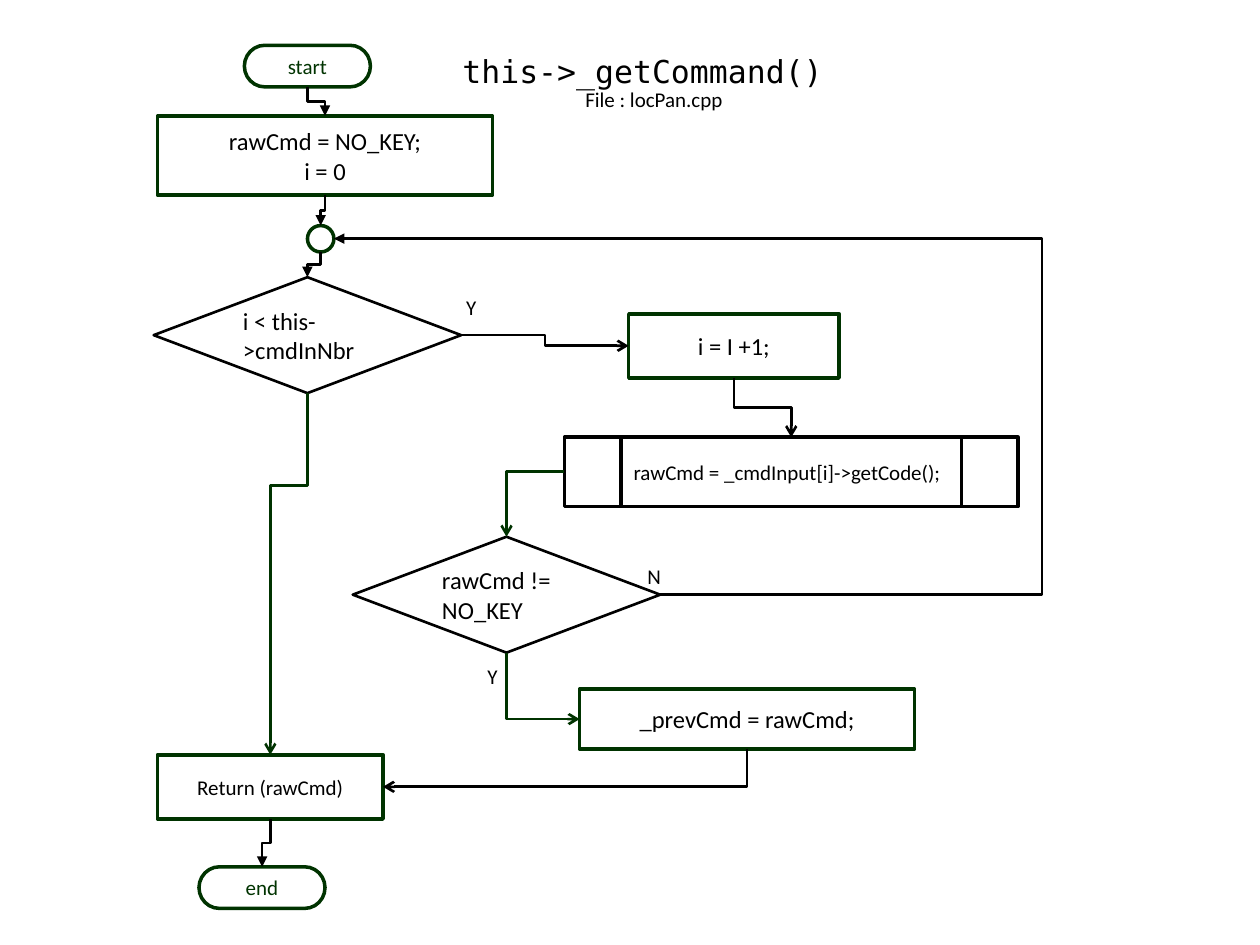
from dataclasses import dataclass

import pptx
import pptx.dml.color
import pptx.enum.shapes
import pptx.enum.text
import pptx.oxml
import pptx.oxml.ns
import pptx.util

COLS, ROWS = 100, 75
KIND = pptx.enum.shapes.MSO_SHAPE
ALIGN = pptx.enum.text.PP_ALIGN
ANCHOR = pptx.enum.text.MSO_ANCHOR
TOP, LEFT, BOTTOM, RIGHT = range(4)


@dataclass(frozen=True)
class Theme:
    black: str = "000000"
    green: str = "003300"
    font: str = "Calibri"
    mono: str = "DejaVu Sans Mono"
    title: int = 18
    body: int = 14
    small: int = 12
    thin: float = 1.5
    thick: float = 2


T = Theme()


@dataclass(frozen=True)
class Box:
    """Place on the grid, in columns and rows."""
    col: float
    row: float
    cols: float
    rows: float


@dataclass(frozen=True)
class Node:
    kind: KIND
    box: Box
    text: str = ""
    size: int = T.body
    line: str = T.green
    width: float = T.thick
    ink: str = T.black
    align: ALIGN = ALIGN.CENTER


@dataclass(frozen=True)
class Label:
    box: Box
    text: str
    size: int = T.small
    font: str = T.font
    align: ALIGN = ALIGN.LEFT
    wrap: bool = False
    anchor: ANCHOR = ANCHOR.TOP


@dataclass(frozen=True)
class Link:
    """Elbow arrow; bend is the share of the run before the turn, None for one corner."""
    start: str
    start_side: int
    end: str
    end_side: int
    head: str = "triangle"
    color: str = T.black
    bend: float | None = 0.5


def decision(col: float, row: float, text: str) -> Node:
    return Node(KIND.FLOWCHART_DECISION, Box(col, row, 24.4, 9.2), text,
                line=T.black, width=T.thin, align=ALIGN.LEFT)


def terminator(col: float, row: float, text: str) -> Node:
    return Node(KIND.FLOWCHART_TERMINATOR, Box(col, row, 10, 3.3), text, T.small, ink=T.green)


NODES = {
    "start": terminator(19.4, 3.6, "start"),
    "init": Node(KIND.RECTANGLE, Box(12.5, 9.2, 26.6, 6.3), "rawCmd = NO_KEY;\ni = 0"),
    "join": Node(KIND.OVAL, Box(24.4, 17.9, 2.1, 2.1)),
    "more": decision(12.2, 22, "i < this->cmdInNbr"),
    "step": Node(KIND.RECTANGLE, Box(49.9, 24.9, 16.7, 5.1), "i = I +1;"),
    "read": Node(KIND.FLOWCHART_PREDEFINED_PROCESS, Box(44.8, 34.7, 36, 5.5),
                 "rawCmd = _cmdInput[i]->getCode();", T.small, T.black, align=ALIGN.LEFT),
    "found": decision(28, 42.6, "rawCmd != NO_KEY"),
    "keep": Node(KIND.RECTANGLE, Box(46, 54.7, 26.6, 4.75), "_prevCmd = rawCmd;"),
    "return": Node(KIND.RECTANGLE, Box(12.5, 59.9, 17.9, 5.1), "Return (rawCmd)", T.small),
    "end": terminator(15.8, 68.8, "end"),
}

LABELS = [
    Label(Box(8.5, 2.5, 85, 6.3), "this->_getCommand()", T.title, T.mono,
          ALIGN.CENTER, True, ANCHOR.MIDDLE),
    Label(Box(45.4, 6.4, 13, 3), "File : locPan.cpp", align=ALIGN.CENTER),
    Label(Box(36, 22.9, 2.8, 3), "Y"),
    Label(Box(50.4, 44.2, 3.1, 3), "N"),
    Label(Box(37.7, 52.2, 2.8, 3), "Y"),
]

LINKS = [
    Link("start", BOTTOM, "init", TOP),
    Link("init", BOTTOM, "join", TOP),
    Link("join", BOTTOM, "more", TOP),
    Link("more", RIGHT, "step", LEFT, "arrow"),
    Link("more", BOTTOM, "return", TOP, "arrow", T.green, 0.255),
    Link("step", BOTTOM, "read", TOP, "arrow"),
    Link("read", LEFT, "found", TOP, "arrow", T.green, None),
    Link("found", BOTTOM, "keep", LEFT, "arrow", T.green, None),
    Link("found", RIGHT, "join", RIGHT, bend=-1.17),
    Link("keep", BOTTOM, "return", RIGHT, "arrow", bend=None),
    Link("return", BOTTOM, "end", TOP),
]


def rgb(color: str):
    return pptx.dml.color.RGBColor.from_string(color)


def place(prs, box: Box) -> list[int]:
    cw, rh = prs.slide_width / COLS, prs.slide_height / ROWS
    return [round(v) for v in (box.col * cw, box.row * rh, box.cols * cw, box.rows * rh)]


def write(sp, text: str, size: int, font: str, color: str, align: ALIGN, anchor: ANCHOR,
          wrap: bool = True) -> None:
    tf = sp.text_frame
    tf.text = text
    tf.word_wrap = wrap
    tf.vertical_anchor = anchor
    for p in tf.paragraphs:
        p.alignment = align
        p.font.size = pptx.util.Pt(size)
        p.font.name = font
        p.font.color.rgb = rgb(color)


def draw_node(prs, s, node: Node):
    sp = s.shapes.add_shape(node.kind, *place(prs, node.box))
    sp.shadow.inherit = False
    sp.fill.background()
    sp.line.color.rgb = rgb(node.line)
    sp.line.width = pptx.util.Pt(node.width)
    if node.text:
        write(sp, node.text, node.size, T.font, node.ink, node.align, ANCHOR.MIDDLE)
    return sp


def draw_label(prs, s, label: Label) -> None:
    sp = s.shapes.add_textbox(*place(prs, label.box))
    write(sp, label.text, label.size, label.font, T.black, label.align, label.anchor, label.wrap)


def route(cx, link: Link) -> None:
    """Turn and flip the elbow so that it leaves its start on the right side."""
    x1, y1, x2, y2 = cx.begin_x, cx.begin_y, cx.end_x, cx.end_y
    w, h = abs(x2 - x1), abs(y2 - y1)
    if link.start_side == BOTTOM:
        w, h = h, w
        rot, flip_h, flip_v = (90, False, False) if x2 < x1 else (270, True, False)
    elif x2 < x1 and y2 > y1:
        rot, flip_h, flip_v = 180, False, True
    else:
        rot, flip_h, flip_v = 0, x2 < x1, y2 < y1
    xfrm = cx._element.spPr.xfrm
    xfrm.rot, xfrm.flipH, xfrm.flipV = rot, flip_h, flip_v
    cx.left, cx.top = (x1 + x2 - w) // 2, (y1 + y2 - h) // 2
    cx.width, cx.height = w, h
    geom = cx._element.spPr.prstGeom
    if link.bend is None:
        geom.set("prst", "bentConnector2")
    else:
        gd = pptx.oxml.parse_xml(f'<a:gd {pptx.oxml.ns.nsdecls("a")} name="adj1" '
                                 f'fmla="val {round(link.bend * 100000)}"/>')
        geom.get_or_add_avLst().append(gd)


def draw_link(s, shapes: dict, link: Link) -> None:
    cx = s.shapes.add_connector(pptx.enum.shapes.MSO_CONNECTOR.ELBOW, 0, 0, 0, 0)
    cx.begin_connect(shapes[link.start], link.start_side)
    cx.end_connect(shapes[link.end], link.end_side)
    ends = cx._element.nvCxnSpPr.cNvCxnSpPr
    for name, joint in ((link.start, ends.stCxn), (link.end, ends.endCxn)):
        if NODES[name].kind == KIND.OVAL:  # an oval has eight sites
            joint.idx *= 2
    route(cx, link)
    cx.line.color.rgb = rgb(link.color)
    cx.line.width = pptx.util.Pt(T.thin)
    ns = pptx.oxml.ns.nsdecls("a")
    cx.line._get_or_add_ln().append(pptx.oxml.parse_xml(f'<a:tailEnd {ns} type="{link.head}"/>'))
    cx._element.spPr.append(pptx.oxml.parse_xml(f"<a:effectLst {ns}/>"))


def main() -> None:
    prs = pptx.Presentation()
    prs.slide_width, prs.slide_height = pptx.util.Inches(10), pptx.util.Inches(7.5)
    s = prs.slides.add_slide(prs.slide_layouts[6])
    shapes = {name: draw_node(prs, s, node) for name, node in NODES.items()}
    for label in LABELS:
        draw_label(prs, s, label)
    for link in LINKS:
        draw_link(s, shapes, link)
    prs.save("out.pptx")


if __name__ == "__main__":
    main()
